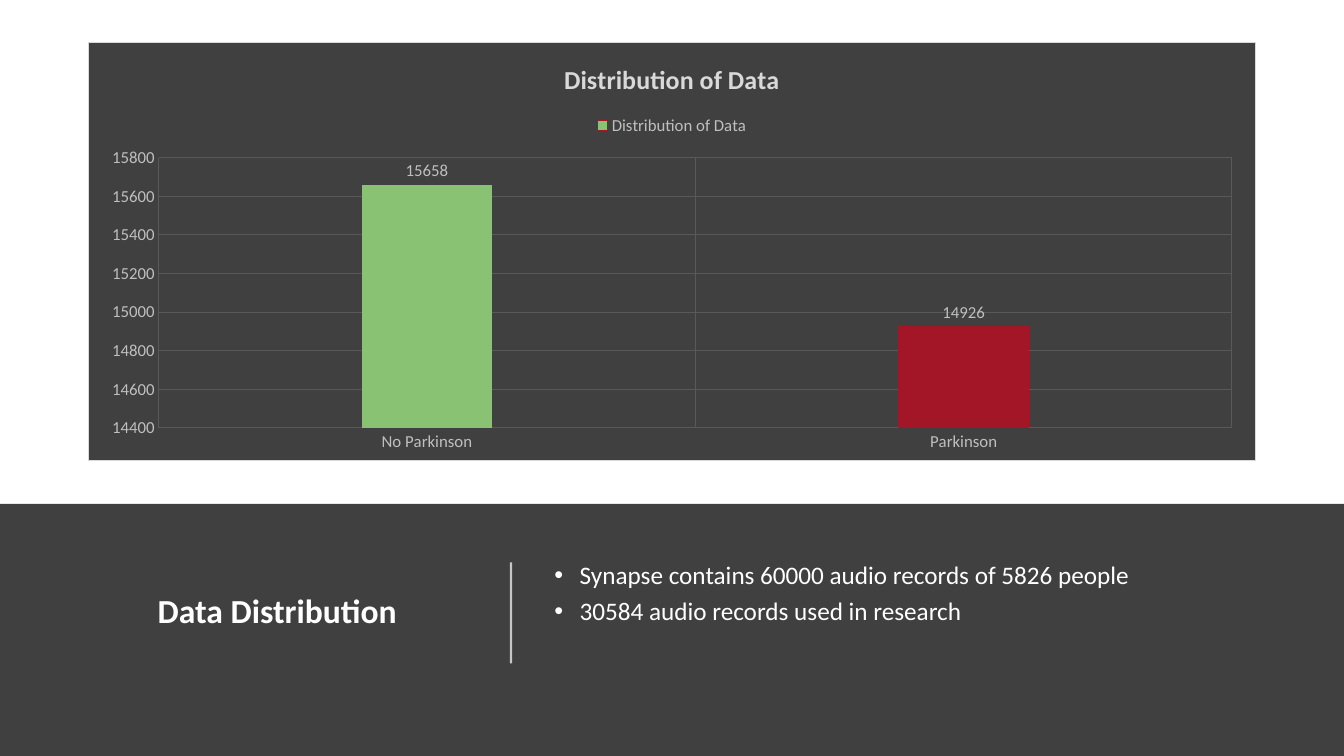
from lxml import etree
from pptx import Presentation
from pptx import util as u
from pptx.chart import data as chart_data
from pptx.dml.color import RGBColor
from pptx.enum import chart as ch, shapes, text
from pptx.oxml import parse_xml
from pptx.oxml.ns import nsdecls, qn

DARK = RGBColor(0x40, 0x40, 0x40)
GRID = RGBColor(0x59, 0x59, 0x59)
LABEL = RGBColor(0xBF, 0xBF, 0xBF)
PALE = RGBColor(0xD9, 0xD9, 0xD9)
WHITE = RGBColor(0xFF, 0xFF, 0xFF)
GREEN = RGBColor(0x89, 0xC2, 0x72)
RED = RGBColor(0xA2, 0x16, 0x27)
FACE = "Calibri"


def set_font(font, size, color, bold=False):
    """Apply the slide's typeface with a size, colour and weight."""
    font.name, font.size, font.bold = FACE, u.Pt(size), bold
    font.color.rgb = color


def style_axis(axis):
    """Give an axis grey labels, thin gridlines and no line or ticks."""
    set_font(axis.tick_labels.font, 12, LABEL)
    axis.major_tick_mark = axis.minor_tick_mark = ch.XL_TICK_MARK.NONE
    axis.format.line.fill.background()
    axis.has_major_gridlines = True
    gridline = axis.major_gridlines.format.line
    gridline.color.rgb, gridline.width = GRID, u.Pt(0.75)


def add_distribution_chart(slide, left, top, width, height):
    """Draw the column chart of record counts on a dark panel."""
    counts = chart_data.CategoryChartData()
    counts.categories = ["No Parkinson", "Parkinson"]
    counts.add_series("Distribution of Data", [15658, 14926])
    chart = slide.shapes.add_chart(
        ch.XL_CHART_TYPE.COLUMN_CLUSTERED,
        u.Pt(left), u.Pt(top), u.Pt(width), u.Pt(height), counts).chart
    set_font(chart.font, 10, LABEL)
    panel = parse_xml(
        f'<c:spPr {nsdecls("c", "a")}>'
        f'<a:solidFill><a:srgbClr val="{DARK}"/></a:solidFill>'
        f'<a:ln w="9525"><a:solidFill><a:srgbClr val="{PALE}"/></a:solidFill></a:ln>'
        '</c:spPr>')
    chart.element.find(qn("c:txPr")).addprevious(panel)

    chart.has_title = True
    heading = chart.chart_title.text_frame
    heading.text = "Distribution of Data"
    set_font(heading.paragraphs[0].font, 18.6, PALE, True)
    chart.has_legend = True
    chart.legend.position = ch.XL_LEGEND_POSITION.TOP
    chart.legend.include_in_layout = False
    set_font(chart.legend.font, 12, LABEL)

    style_axis(chart.category_axis)
    style_axis(chart.value_axis)
    scale = chart.value_axis
    scale.minimum_scale, scale.maximum_scale, scale.major_unit = 14400, 15800, 200

    columns = chart.plots[0]
    columns.gap_width, columns.overlap, columns.vary_by_categories = 315, -40, False
    records = columns.series[0]
    records.format.fill.solid()
    records.format.fill.fore_color.rgb = GREEN
    records.format.line.color.rgb = RED
    records.format.line.width = u.Pt(0.75)
    for index, color in enumerate([GREEN, RED]):
        column = records.points[index].format
        column.fill.solid()
        column.fill.fore_color.rgb = color
        column.line.color.rgb = color
        column.line.width = u.Pt(0.75)
    values = records.data_labels
    values.show_value = True
    values.position = ch.XL_LABEL_POSITION.OUTSIDE_END
    set_font(values.font, 12, LABEL)


def add_summary_band(slide, left, top, width, height):
    """Draw the dark band with its heading, divider and bullet points."""
    band = slide.shapes.add_shape(
        shapes.MSO_SHAPE.RECTANGLE, u.Pt(left), u.Pt(top), u.Pt(width), u.Pt(height))
    band.shadow.inherit = False
    band.fill.solid()
    band.fill.fore_color.rgb = DARK
    band.line.fill.background()

    heading = slide.shapes.add_textbox(
        u.Pt(left + 49.7), u.Pt(top + 25.2), u.Pt(296.6), u.Pt(104.4)).text_frame
    heading.word_wrap = True
    heading.vertical_anchor = text.MSO_ANCHOR.MIDDLE
    title = heading.paragraphs[0]
    title.text = "Data Distribution"
    title.alignment = text.PP_ALIGN.CENTER
    title.line_spacing = 0.9
    set_font(title.font, 24, WHITE, True)

    divider_x = u.Pt(left + 365)
    divider = slide.shapes.add_connector(
        shapes.MSO_CONNECTOR.STRAIGHT,
        divider_x, u.Pt(top + 113.8), divider_x, u.Pt(top + 41.8))
    divider.line.color.rgb, divider.line.width = WHITE, u.Pt(1.5)
    tint = divider.line.fill._xPr.find(".//" + qn("a:srgbClr"))
    etree.SubElement(tint, qn("a:alpha"), val="70000")
    etree.SubElement(divider.element.spPr, qn("a:effectLst"))

    findings = slide.shapes.add_textbox(
        u.Pt(left + 384.5), u.Pt(top + 20.2), u.Pt(525.6), u.Pt(115.2)).text_frame
    findings.word_wrap = True
    findings.margin_top = u.Pt(22)
    facts = ["Synapse contains 60000 audio records of 5826 people",
             "30584 audio records used in research"]
    findings.text = "\n".join(facts)
    for fact in findings.paragraphs:
        fact.line_spacing, fact.space_after = 0.9, u.Pt(6)
        layout = fact._p.get_or_add_pPr()
        layout.set("marL", str(u.Pt(22.5)))
        layout.set("indent", str(u.Pt(-18)))
        etree.SubElement(layout, qn("a:buFont"), typeface="Arial")
        etree.SubElement(layout, qn("a:buChar"), char="•")
        set_font(fact.font, 18, WHITE)


def main():
    """Build the data distribution slide and save it."""
    deck = Presentation()
    deck.slide_width, deck.slide_height = u.Pt(960), u.Pt(540)
    slide = deck.slides.add_slide(deck.slide_layouts[6])
    add_summary_band(slide, 0, 360, 960, 180)
    add_distribution_chart(slide, 63, 30, 834, 299)
    deck.save("out.pptx")


if __name__ == "__main__":
    main()
